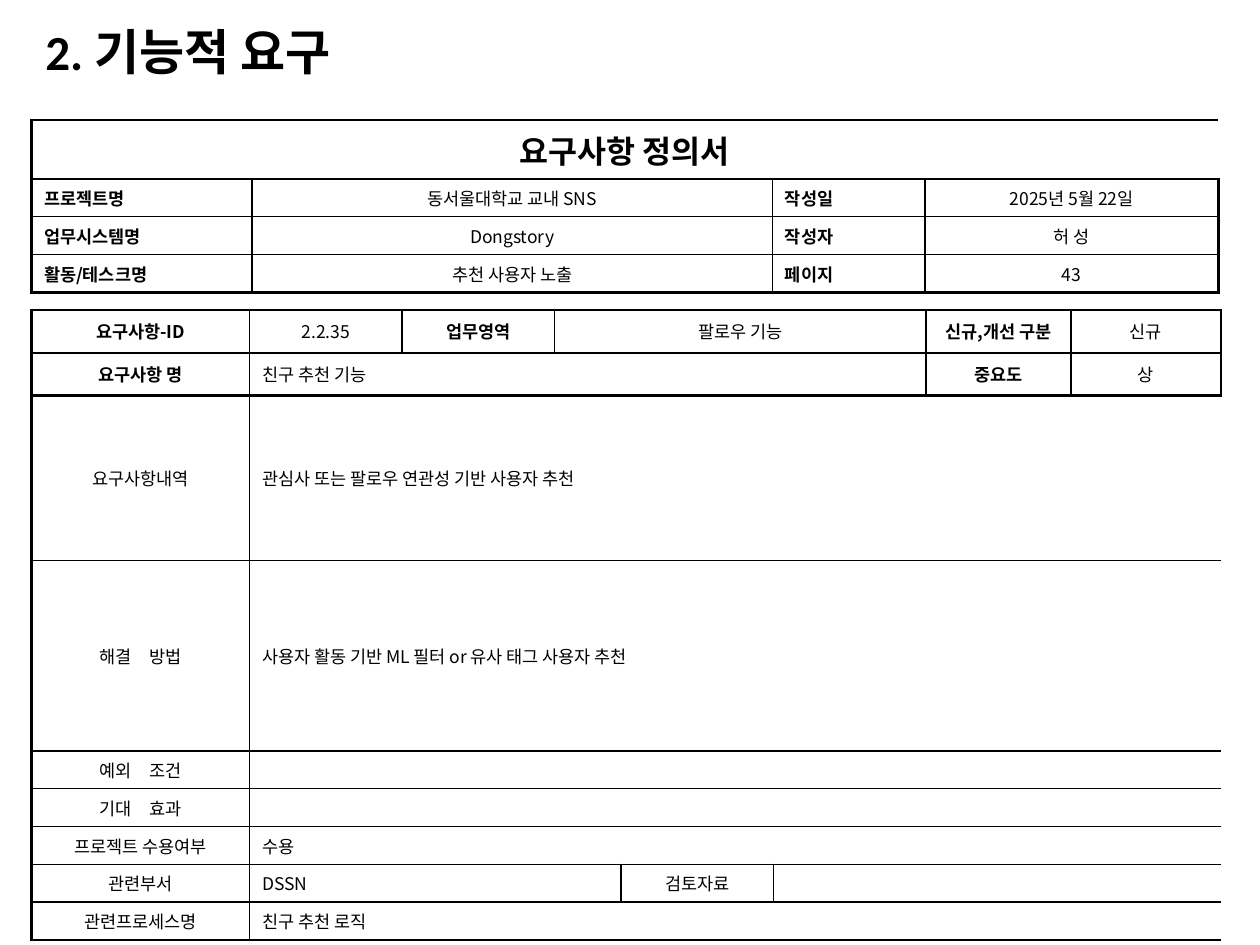
from lxml.etree import SubElement
from pptx import Presentation
from pptx.dml.color import RGBColor
from pptx.enum.text import MSO_ANCHOR, PP_ALIGN
from pptx.oxml.ns import qn
from pptx.util import Inches, Pt

# Content: each row lists (text, columns spanned, style)
BLACK = "000000"
FONT = "Noto Sans CJK KR"
TITLE = "2. 기능적 요구"
THIN, THICK = 1, 1.5

# style: (alignment, bold, size, font)
HEADING = (PP_ALIGN.CENTER, True, 18, FONT)
LABEL = (PP_ALIGN.JUSTIFY, True, 10, FONT)
KEY = (PP_ALIGN.CENTER, True, 10, FONT)
CENTER = (PP_ALIGN.CENTER, False, 10, FONT)
LEFT = (PP_ALIGN.LEFT, False, 10, FONT)
DETAIL = (PP_ALIGN.LEFT, False, 10, "Calibri")

# A tuple in place of a text holds two words set apart by a wide gap
REQUIREMENT = {
    "position": (0.25, 2.46),
    "columns": [1.73, 1.21, 1.21, 0.53, 1.21, 1.21, 1.15, 1.19],
    "heights": [0.34, 0.34, 1.31, 1.51] + [0.3] * 5,
    "thick_below": {0, 1},
    "rows": [
        [("요구사항-ID", 1, KEY), ("2.2.35", 1, CENTER), ("업무영역", 1, KEY),
         ("팔로우 기능", 3, CENTER), ("신규,개선 구분", 1, KEY), ("신규", 1, CENTER)],
        [("요구사항 명", 1, KEY), ("친구 추천 기능", 5, LEFT),
         ("중요도", 1, KEY), ("상", 1, CENTER)],
        [("요구사항내역", 1, CENTER),
         ("관심사 또는 팔로우 연관성 기반 사용자 추천", 7, DETAIL)],
        [(("해결", "방법"), 1, CENTER),
         ("사용자 활동 기반 ML 필터 or 유사 태그 사용자 추천", 7, LEFT)],
        [(("예외", "조건"), 1, CENTER), ("", 7, LEFT)],
        [(("기대", "효과"), 1, CENTER), ("", 7, LEFT)],
        [("프로젝트 수용여부", 1, CENTER), ("수용", 7, LEFT)],
        [("관련부서", 1, CENTER), ("DSSN", 3, LEFT), ("검토자료", 1, CENTER), ("", 3, LEFT)],
        [("관련프로세스명", 1, CENTER), ("친구 추천 로직", 7, LEFT)],
    ],
}
DOCUMENT = {
    "position": (0.25, 0.95),
    "columns": [1.75, 4.13, 1.21, 2.33],
    "heights": [0.47] + [0.3] * 3,
    "thick_below": set(),
    "rows": [
        [("요구사항 정의서", 4, HEADING)],
        [("프로젝트명", 1, LABEL), ("동서울대학교 교내 SNS", 1, CENTER),
         ("작성일", 1, LABEL), ("2025년 5월 22일", 1, CENTER)],
        [("업무시스템명", 1, LABEL), ("Dongstory", 1, CENTER),
         ("작성자", 1, LABEL), ("허 성", 1, CENTER)],
        [("활동/테스크명", 1, LABEL), ("추천 사용자 노출", 1, CENTER),
         ("페이지", 1, LABEL), ("43", 1, CENTER)],
    ],
}


def color(value):
    return RGBColor.from_string(value)


def set_font(font, name, size, bold):
    font.name, font.size, font.bold = name, Pt(size), bold
    font.color.rgb = color(BLACK)


def write(cell, text, style):
    alignment, bold, size, name = style
    cell.vertical_anchor = MSO_ANCHOR.MIDDLE
    paragraph = cell.text_frame.paragraphs[0]
    paragraph.alignment = alignment
    set_font(paragraph.font, name, size, bold)
    if isinstance(text, tuple):
        for part in (text[0], " ", text[1]):
            span = paragraph.add_run()
            span.text = part
            if part == " ":
                span.font._element.set("spc", "800")
    elif text:
        paragraph.add_run().text = text
    else:  # keeps an empty row from growing
        SubElement(paragraph._p, qn("a:endParaRPr"), sz=str(size * 100))


def set_borders(cell, widths):
    """Draw the sides named in widths, in the order L, R, T, B."""
    properties = cell._tc.get_or_add_tcPr()
    for index, (side, width) in enumerate(widths.items()):
        line = SubElement(properties, qn("a:ln" + side), w=str(Pt(width)))
        if width:
            fill = SubElement(line, qn("a:solidFill"))
            SubElement(fill, qn("a:srgbClr"), val=BLACK)
        else:
            SubElement(line, qn("a:noFill"))
        properties.insert(index, line)


def add_form(page, form):
    columns, heights = form["columns"], form["heights"]
    left, top = form["position"]
    table = page.shapes.add_table(
        len(heights), len(columns), Inches(left), Inches(top),
        Inches(sum(columns)), Inches(sum(heights))).table
    table.first_row = table.horz_banding = False
    for column, width in zip(table.columns, columns):
        column.width = Inches(width)
    for row, height in zip(table.rows, heights):
        row.height = Inches(height)

    last_row, last_column = len(heights) - 1, len(columns) - 1
    thick_below = form["thick_below"] | {-1, last_row}
    for r, entries in enumerate(form["rows"]):
        start = 0
        for text, count, style in entries:
            end = start + count - 1
            if count > 1:
                table.cell(r, start).merge(table.cell(r, end))
            write(table.cell(r, start), text, style)
            for c in range(start, end + 1):
                cell = table.cell(r, c)
                cell.fill.background()
                set_borders(cell, {
                    "L": 0 if c > start else THIN if c else THICK,
                    "R": 0 if c < end else THIN if c < last_column else THICK,
                    "T": THICK if r - 1 in thick_below else THIN,
                    "B": THICK if r in thick_below else THIN,
                })
            start = end + 1


def main():
    deck = Presentation()
    deck.slide_width, deck.slide_height = Inches(10), Inches(7.5)
    page = deck.slides.add_slide(deck.slide_layouts[5])

    # Title
    title = page.shapes.title
    title.left, title.top = Inches(0.26), Inches(0.21)
    title.width, title.height = Inches(5.36), Inches(0.44)
    title.text_frame.text = TITLE
    title.text_frame.vertical_anchor = MSO_ANCHOR.MIDDLE
    paragraph = title.text_frame.paragraphs[0]
    paragraph.alignment = PP_ALIGN.LEFT
    paragraph.line_spacing = 0.9
    set_font(paragraph.font, "Calibri", 28, True)

    # Forms
    for form in (REQUIREMENT, DOCUMENT):
        add_form(page, form)
    deck.save("out.pptx")


if __name__ == "__main__":
    main()
